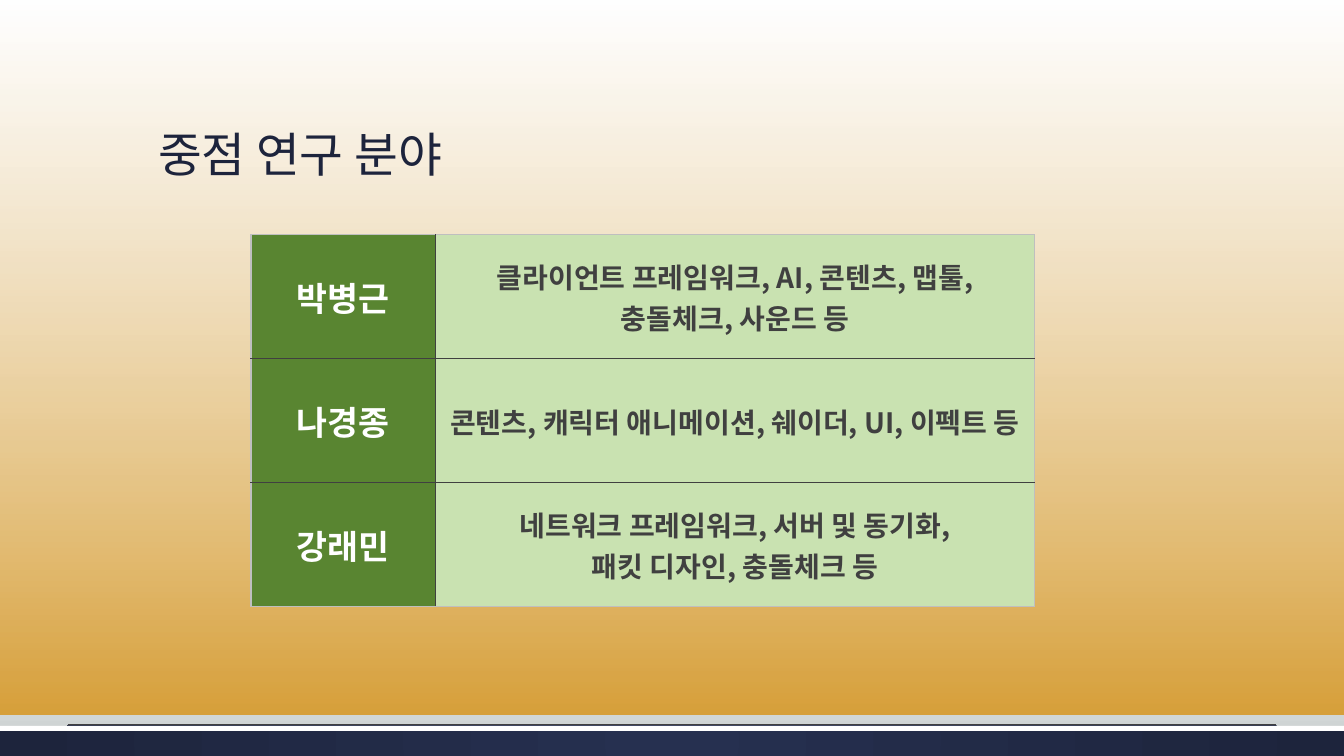
import pptx
import pptx.util
import pptx.dml.color
import pptx.enum.shapes
import pptx.enum.text
import pptx.oxml
import pptx.oxml.ns
from lxml import etree

Inches = pptx.util.Inches
RGB = pptx.dml.color.RGBColor
qn = pptx.oxml.ns.qn
MIDDLE = pptx.enum.text.MSO_ANCHOR.MIDDLE
CENTER = pptx.enum.text.PP_ALIGN.CENTER
RECT = pptx.enum.shapes.MSO_SHAPE.RECTANGLE

FONT = "Noto Sans CJK KR"
NAVY = RGB(0x1D, 0x24, 0x3C)
WHITE = RGB(0xFF, 0xFF, 0xFF)
GRAY = RGB(0x40, 0x40, 0x40)
SILVER = RGB(0xBF, 0xBF, 0xBF)
GREEN = RGB(0x59, 0x85, 0x31)
LIME = RGB(0xC9, 0xE2, 0xB1)
SLATE = RGB(0x26, 0x30, 0x50)
AMBER = RGB(0xDA, 0x8C, 0x00)
MIST = RGB(0xE5, 0xE8, 0xE8)
FOG = RGB(0xCD, 0xD2, 0xD2)


def blend(fill, root, stops, radial=False):
    """Fill with stops of (position, colour, opacity), all in percent."""
    fill.gradient()
    grad = next(root.iter(qn("a:gradFill")))
    for child in list(grad):
        grad.remove(child)
    group = etree.SubElement(grad, qn("a:gsLst"))
    for pos, color, alpha in stops:
        stop = etree.SubElement(group, qn("a:gs"), pos=str(pos * 1000))
        tone = etree.SubElement(stop, qn("a:srgbClr"), val=str(color))
        if alpha < 100:
            etree.SubElement(tone, qn("a:alpha"), val=str(alpha * 1000))
    if radial:
        ring = etree.SubElement(grad, qn("a:path"), path="circle")
        etree.SubElement(ring, qn("a:fillToRect"),
                         l="50000", t="50000", r="50000", b="50000")
    else:
        etree.SubElement(grad, qn("a:lin"), ang="5400000", scaled="0")


def write(para, text, size, color, bold=False):
    run = para.add_run()
    run.text = text
    font = run.font
    font.name, font.size, font.bold = FONT, pptx.util.Pt(size), bold
    font.color.rgb = color
    etree.SubElement(run.font._element, qn("a:ea"), typeface=FONT)


deck = pptx.Presentation()
deck.slide_width, deck.slide_height = Inches(13.33), Inches(7.5)
slide = deck.slides.add_slide(deck.slide_layouts[6])
shapes = slide.shapes

# Background, bottom band and amber wash
blend(slide.background.fill, slide.element,
      [(0, WHITE, 100), (72, MIST, 100), (100, FOG, 100)])
bars = []
for top, width, height in [(7.2, 13.33, 0.3), (7.2, 13.33, 0.05), (0, 13.37, 7.09)]:
    bar = shapes.add_shape(RECT, 0, Inches(top), Inches(width), Inches(height))
    bar.shadow.inherit = False
    bar.line.fill.background()
    bars.append(bar)
band, strip, wash = bars
blend(band.fill, band.element, [(0, SLATE, 100), (100, NAVY, 100)], radial=True)
strip.fill.solid()
strip.fill.fore_color.rgb = WHITE
blend(wash.fill, wash.element, [(0, WHITE, 51), (100, AMBER, 73)])

rule = shapes.add_connector(pptx.enum.shapes.MSO_CONNECTOR.STRAIGHT,
                            Inches(0.67), Inches(7.19), Inches(12.66), Inches(7.19))
rule.line.color.rgb = GRAY
rule.line.width = pptx.util.Pt(0.75)
etree.SubElement(rule.element.spPr, qn("a:effectLst"))

# Title
title = shapes.add_textbox(Inches(1.47), Inches(0.51), Inches(10.4), Inches(1.35))
frame = title.text_frame
frame.word_wrap = True
frame.vertical_anchor = pptx.enum.text.MSO_ANCHOR.BOTTOM
frame.paragraphs[0].line_spacing = 0.9
write(frame.paragraphs[0], "중점 연구 분야", 34, NAVY)

# Table of members and their fields
team = [
    ("박병근", ["클라이언트 프레임워크, AI, 콘텐츠, 맵툴,", "충돌체크, 사운드 등"]),
    ("나경종", ["콘텐츠, 캐릭터 애니메이션, 쉐이더, UI, 이펙트 등"]),
    ("강래민", ["네트워크 프레임워크, 서버 및 동기화,", "패킷 디자인, 충돌체크 등"]),
]
table = shapes.add_table(len(team), 2, Inches(2.49), Inches(2.33),
                         Inches(7.77), Inches(3.69)).table
table.first_row = table.horz_banding = False
table.columns[0].width, table.columns[1].width = Inches(1.83), Inches(5.94)
for row, (name, fields) in enumerate(team):
    table.rows[row].height = Inches(1.23)
    looks = [([name], 24, WHITE, GREEN), (fields, 20, GRAY, LIME)]
    for col, (lines, size, color, back) in enumerate(looks):
        cell = table.cell(row, col)
        cell.vertical_anchor = MIDDLE
        frame = cell.text_frame
        for num, line in enumerate(lines):
            para = frame.add_paragraph() if num else frame.paragraphs[0]
            para.alignment = CENTER
            write(para, line, size, color, bold=True)
        props = cell._tc.get_or_add_tcPr()
        outer = {"L": col == 0, "R": col == 1,
                 "T": row == 0, "B": row == len(team) - 1}
        for side, edge in outer.items():
            border = etree.SubElement(props, qn("a:ln" + side), w="12700")
            paint = etree.SubElement(border, qn("a:solidFill"))
            etree.SubElement(paint, qn("a:srgbClr"), val=str(SILVER if edge else GRAY))
        cell.fill.solid()
        cell.fill.fore_color.rgb = back

deck.save("out.pptx")
